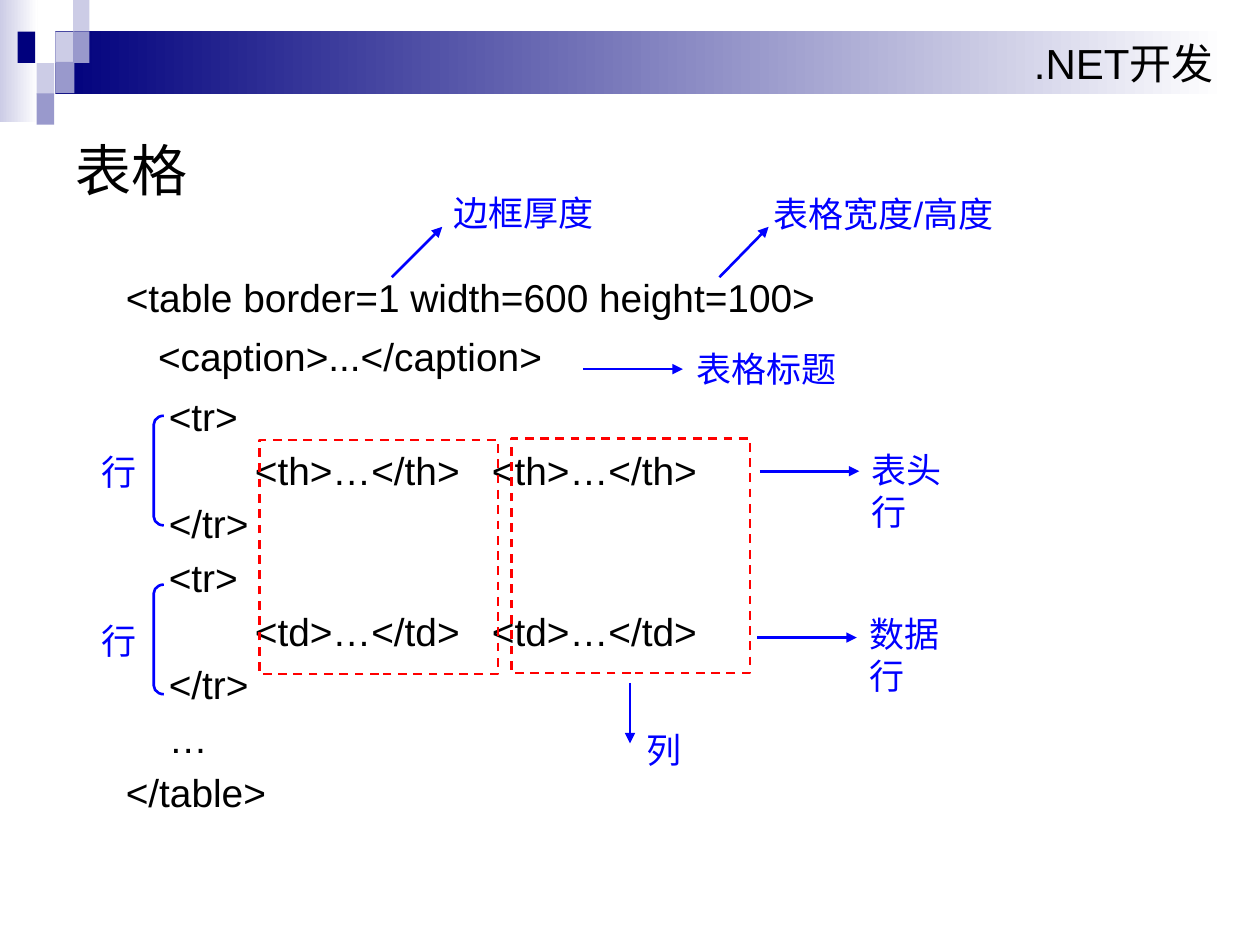
"""Build the slide that explains the parts of an HTML table."""
from lxml.etree import SubElement
from pptx import Presentation
from pptx.dml.color import RGBColor
from pptx.enum.dml import MSO_LINE
from pptx.enum.shapes import MSO_CONNECTOR, MSO_SHAPE
from pptx.enum.text import MSO_ANCHOR, PP_ALIGN
from pptx.oxml.ns import qn
from pptx.util import Inches, Pt

COLORS = {"navy": "00007D", "mid": "9999CC", "pale": "CCCCE6", "white": "FFFFFF",
          "black": "000000", "blue": "0000FF", "red": "FF0000"}
CODE_FORMAT = {"name": "Arial", "size": Pt(22.2)}
TITLE_FORMAT = {"name": "Arial", "size": Pt(32)}
HEADER_FORMAT = {"name": "Arial", "size": Pt(24)}
LABEL_FORMAT = {"name": "Arial", "size": Pt(20)}
ROW_FORMAT = {"name": "Noto Sans CJK SC", "size": Pt(20)}

SQUARES = [(0.44, 0.25, 0.15, "pale"), (0.58, 0, 0.13, "pale"),
           (0.58, 0.25, 0.13, "mid"), (0.29, 0.5, 0.14, "pale"),
           (0.14, 0.25, 0.14, "navy"), (0.44, 0.49, 0.15, "mid"),
           (0.29, 0.74, 0.14, "mid")]
CODE = [("<table border=1 width=600 height=100>", 7.5),
        ("   <caption>...</caption>", 7.5),
        ("    <tr>", 4),
        ("            <th>…</th>   <th>…</th>", 4),
        ("    </tr>", 4),
        ("    <tr>", 4),
        ("            <td>…</td>   <td>…</td>", 4),
        ("    </tr>", 4),
        ("    …", 4),
        ("</table>", 0)]
LABELS = [("边框厚度", 3.5, 1.47, 1.31), ("表格宽度/高度", 6.04, 1.48, 2.08),
          ("表格标题", 5.43, 2.71, 1.31), ("表头行", 6.82, 3.51, 1.03),
          ("数据行", 6.8, 4.81, 1.03), ("列", 5.03, 5.73, 0.48)]
ARROWS = [(3.11, 2.2, 3.51, 1.8), (5.71, 2.2, 6.1, 1.8), (4.63, 2.93, 5.42, 2.93),
          (6.03, 3.74, 6.82, 3.74), (6.01, 5.06, 6.8, 5.06), (5, 5.42, 5, 5.9)]
ROW_TOPS = [3.3, 4.64]
COLUMN_BOXES = [(2.06, 3.49), (4.06, 3.48)]


def rgb(name):
    """Return the named colour."""
    return RGBColor.from_string(COLORS[name])


def add_box(slide, box, fill=None, shape=MSO_SHAPE.RECTANGLE):
    """Add a shape with no line, filled with one colour, a gradient pair or nothing."""
    s = slide.shapes.add_shape(shape, *map(Inches, box))
    s.shadow.inherit = False
    s.line.fill.background()
    if fill is None:
        s.fill.background()
    elif isinstance(fill, tuple):
        s.fill.gradient()
        s.fill.gradient_angle = 0
        for stop, name in zip(s.fill.gradient_stops, fill):
            stop.color.rgb = rgb(name)
    else:
        s.fill.solid()
        s.fill.fore_color.rgb = rgb(fill)
    return s


def write(p, text, fmt, color="black"):
    """Write one formatted run into a paragraph."""
    r = p.add_run()
    r.text = text
    for key, value in fmt.items():
        setattr(r.font, key, value)
    r.font.color.rgb = rgb(color)


def add_text(slide, box, lines, fmt, color="black", wrap=True, anchor=MSO_ANCHOR.TOP,
             align=PP_ALIGN.LEFT):
    """Add a text box from (text, space after) pairs."""
    tf = slide.shapes.add_textbox(*map(Inches, box)).text_frame
    tf.word_wrap = wrap
    tf.vertical_anchor = anchor
    for i, (text, after) in enumerate(lines):
        p = tf.add_paragraph() if i else tf.paragraphs[0]
        p.alignment = align
        p.space_after = Pt(after)
        write(p, text, fmt, color)


def add_arrow(slide, x1, y1, x2, y2):
    """Add a blue line with an arrowhead at its end."""
    s = slide.shapes.add_connector(MSO_CONNECTOR.STRAIGHT, *map(Inches, (x1, y1, x2, y2)))
    s.line.color.rgb = rgb("blue")
    s.line.width = Pt(1.5)
    SubElement(s.line._get_or_add_ln(), qn("a:tailEnd"), type="triangle")
    SubElement(s._element.spPr, qn("a:effectLst"))


def add_row_mark(slide, top):
    """Add a bracket around one table row with its label."""
    s = add_box(slide, (1.22, top, 0.08, 0.87), shape=MSO_SHAPE.LEFT_BRACKET)
    s.adjustments[0] = 0.87
    s.line.color.rgb = rgb("blue")
    s.line.width = Pt(1.5)
    add_text(slide, (0.67, top + 0.23, 0.55, 0.44), [("行", 0)], ROW_FORMAT, "blue",
             align=PP_ALIGN.CENTER)


def add_column_box(slide, left, top):
    """Add a dashed red frame around one table column."""
    s = add_box(slide, (left, top, 1.89, 1.86))
    s.line.color.rgb = rgb("red")
    s.line.width = Pt(1.25)
    s.line.dash_style = MSO_LINE.DASH


def add_header(slide):
    """Add the gradient band, its squares and the course name."""
    add_box(slide, (0, 0, 0.3, 0.97), ("pale", "white"))
    band = add_box(slide, (0.44, 0.25, 9.29, 0.5), ("navy", "white"))
    band.text_frame.vertical_anchor = MSO_ANCHOR.MIDDLE
    p = band.text_frame.paragraphs[0]
    p.alignment = PP_ALIGN.RIGHT
    write(p, ".NET开发", HEADER_FORMAT)
    for left, top, width, color in SQUARES:
        add_box(slide, (left, top, width, 0.25), color)


def main():
    """Build and save the slide."""
    prs = Presentation()
    prs.slide_width, prs.slide_height = Inches(10), Inches(7.5)
    slide = prs.slides.add_slide(prs.slide_layouts[6])
    add_header(slide)
    add_text(slide, (0.5, 0.99, 9, 0.71), [("表格", 0)], TITLE_FORMAT,
             anchor=MSO_ANCHOR.MIDDLE)
    add_text(slide, (0.9, 2.12, 7.64, 4.41), CODE, CODE_FORMAT)
    for text, left, top, width in LABELS:
        add_text(slide, (left, top, width, 0.44), [(text, 0)], LABEL_FORMAT, "blue",
                 wrap=False)
    for arrow in ARROWS:
        add_arrow(slide, *arrow)
    for top in ROW_TOPS:
        add_row_mark(slide, top)
    for left, top in COLUMN_BOXES:
        add_column_box(slide, left, top)
    prs.save("out.pptx")


if __name__ == "__main__":
    main()
